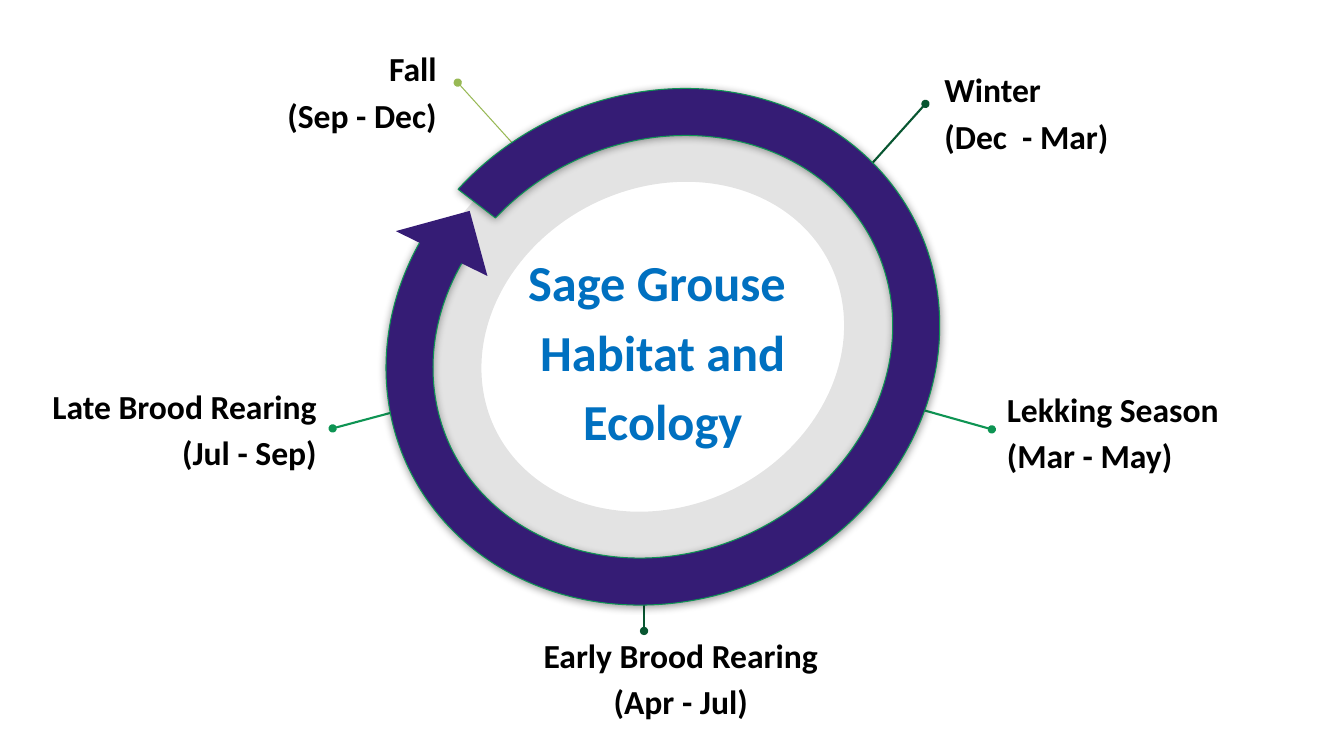
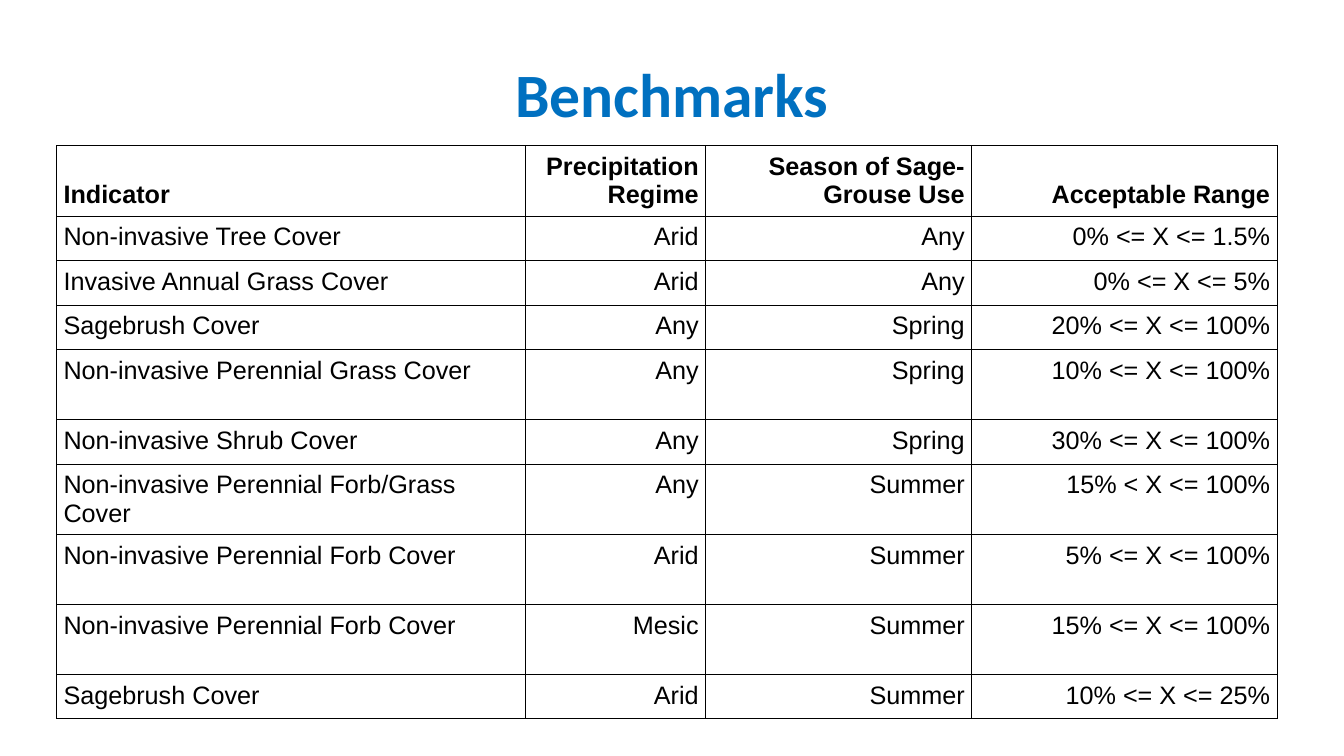
from lxml import etree
from pptx import Presentation
from pptx.dml.color import RGBColor
from pptx.enum import shapes as shp, text as txt
from pptx.oxml.ns import qn
from pptx.util import Pt

# Shared style
BLACK = RGBColor(0x00, 0x00, 0x00)
WHITE = RGBColor(0xFF, 0xFF, 0xFF)
BLUE = RGBColor(0x00, 0x70, 0xC0)
PURPLE = RGBColor(0x35, 0x1C, 0x75)
GREEN = RGBColor(0x0E, 0x94, 0x53)
DARK_GREEN = RGBColor(0x08, 0x56, 0x31)
LIGHT_GREEN = RGBColor(0x98, 0xB9, 0x55)
HEAD_FONT, BODY_FONT = "Calibri", "Arial"
LABEL_INSET, CELL_INSET = 9.2, 5
LEFT, CENTER, RIGHT = (txt.PP_ALIGN.LEFT, txt.PP_ALIGN.CENTER,
                       txt.PP_ALIGN.RIGHT)
TITLE_ONLY = 5

# Label lines, alignment, line colour and width, then offsets from the
# ring's centre: dot, ring end, label's top left corner; label width
SEASONS = [
    (("Winter", "(Dec  - Mar)"), LEFT, DARK_GREEN, 1.5,
     (187.6, -173.5), (145, -126), (191.9, -211.7), 234),
    (("Fall", "(Sep - Dec)"), RIGHT, LIGHT_GREEN, 0.75,
     (-146.5, -188.7), (-103.4, -141), (-386.3, -226.8), 234),
    (("Lekking Season", "(Mar - May)"), LEFT, GREEN, 1.5,
     (235, 59), (166, 39.6), (236.5, 16.5), 234),
    (("Late Brood Rearing", "(Jul - Sep)"), RIGHT, GREEN, 1.5,
     (-235.8, 58.3), (-166, 39.6), (-472, 14.4), 234),
    (("Early Brood Rearing", "(Apr - Jul)"), CENTER, DARK_GREEN, 1.5,
     (-13.4, 203), (-13.4, 175), (-119.2, 192.2), 264),
]

COL_WIDTHS = [334.8, 128.9, 190, 218.2]
SHORT_ROW, TALL_ROW = 31.8, 50
TALL_ROWS = {0, 4, 6, 7, 8}
BENCHMARKS = [
    ("Indicator", "Precipitation Regime", "Season of Sage-Grouse Use",
     "Acceptable Range"),
    ("Non-invasive Tree Cover", "Arid", "Any", "0% <= X <= 1.5%"),
    ("Invasive Annual Grass Cover", "Arid", "Any", "0% <= X <= 5%"),
    ("Sagebrush Cover", "Any", "Spring", "20% <= X <= 100%"),
    ("Non-invasive Perennial Grass Cover", "Any", "Spring",
     "10% <= X <= 100%"),
    ("Non-invasive Shrub Cover", "Any", "Spring", "30% <= X <= 100%"),
    ("Non-invasive Perennial Forb/Grass Cover", "Any", "Summer",
     "15% < X <= 100%"),
    ("Non-invasive Perennial Forb Cover", "Arid", "Summer",
     "5% <= X <= 100%"),
    ("Non-invasive Perennial Forb Cover", "Mesic", "Summer",
     "15% <= X <= 100%"),
    ("Sagebrush Cover", "Arid", "Summer", "10% <= X <= 25%"),
]


def pts(*values):
    return [Pt(v) for v in values]


def add_xml(parent, tag, **attrs):
    return etree.SubElement(parent, qn(tag), attrs)


def set_inset(obj, inset):
    obj.margin_left = obj.margin_right = Pt(inset)
    obj.margin_top = obj.margin_bottom = Pt(inset)


def write_lines(tf, lines, size, color, align, font=HEAD_FONT, bold=True,
                spacing=None):
    for i, line in enumerate(lines):
        p = tf.paragraphs[0] if i == 0 else tf.add_paragraph()
        p.text = line
        p.alignment = align
        p.line_spacing = spacing
        p.font.name, p.font.size, p.font.bold = font, Pt(size), bold
        p.font.color.rgb = color


def place_title(slide, box, lines, size, spacing=None):
    sp = slide.shapes.title
    sp.left, sp.top, sp.width, sp.height = pts(*box)
    tf = sp.text_frame
    tf.word_wrap = True
    tf.auto_size = txt.MSO_AUTO_SIZE.NONE
    tf.vertical_anchor = txt.MSO_ANCHOR.MIDDLE
    write_lines(tf, lines, size, BLUE, CENTER, spacing=spacing)
    return tf


def add_turned(slide, kind, center, size, angle, color, line=None):
    """Add a rotated preset shape around a centre."""
    (cx, cy), (w, h) = center, size
    sp = slide.shapes.add_shape(kind, *pts(cx - w / 2, cy - h / 2, w, h))
    sp.rotation = angle
    sp.fill.solid()
    sp.fill.fore_color.rgb = color
    if line is None:
        sp.line.fill.background()
    else:
        sp.line.color.rgb = line
        sp.line.width = Pt(0.75)
    sp.shadow.inherit = False
    return sp


def add_season(slide, center, lines, align, color, weight, dot, end, corner,
               width):
    """Add a callout: a line with a dot, and its label."""
    cx, cy = center
    group = slide.shapes.add_group_shape()
    line = group.shapes.add_connector(
        shp.MSO_CONNECTOR.STRAIGHT,
        *pts(cx + dot[0], cy + dot[1], cx + end[0], cy + end[1]))
    line.line.color.rgb = color
    line.line.width = Pt(weight)
    add_xml(line.line._get_or_add_ln(), "a:headEnd", type="oval")
    add_xml(line._element.spPr, "a:effectLst")

    label = group.shapes.add_textbox(
        *pts(cx + corner[0], cy + corner[1], width, 84.2))
    tf = label.text_frame
    tf.word_wrap = True
    set_inset(tf, LABEL_INSET)
    write_lines(tf, lines, 24, BLACK, align, spacing=1.15)


def season_ring(slide, x, y, w, h):
    center = cx, cy = x + w / 2, y + h / 2

    # Pale inner ring
    donut = add_turned(slide, shp.MSO_SHAPE.DONUT, center,
                       (w - 28, h - 26.6), 333.1, BLACK)
    donut.adjustments[0] = 0.161
    add_xml(donut._element.spPr.find(".//" + qn("a:srgbClr")), "a:alpha",
            val="11000")

    # Callouts and the title in the middle
    for season in SEASONS:
        add_season(slide, center, *season)
    tf = place_title(slide, (cx - 113, cy - 50.8, 226, 101.6),
                     ("Sage Grouse ", "Habitat and Ecology"), 36, 1.15)
    set_inset(tf, LABEL_INSET)

    # Circular arrow: band with a soft shadow, then its head
    band = add_turned(slide, shp.MSO_SHAPE.BLOCK_ARC, center, (w, h), 155.1,
                      PURPLE, GREEN)
    for i, value in enumerate((37.479, 30.073, 0.093)):
        band.adjustments[i] = value
    shadow = add_xml(band._element.spPr.find(qn("a:effectLst")),
                     "a:outerShdw", blurRad=str(Pt(5.6)), dist=str(Pt(0.8)),
                     dir="5400000", algn="ctr", rotWithShape="0")
    add_xml(add_xml(shadow, "a:srgbClr", val=str(BLACK)), "a:alpha",
            val="40000")
    add_turned(slide, shp.MSO_SHAPE.RIGHT_TRIANGLE, (cx - 158, cy - 66.6),
               (54.7, 48.2), 164.7, PURPLE)


def style_cell(cell, value, header, align):
    cell.vertical_anchor = (txt.MSO_ANCHOR.BOTTOM if header
                            else txt.MSO_ANCHOR.TOP)
    set_inset(cell, CELL_INSET)
    write_lines(cell.text_frame, [value], 18, BLACK, align, BODY_FONT, header)
    tc_pr = cell._tc.get_or_add_tcPr()
    for side in ("a:lnL", "a:lnR", "a:lnT", "a:lnB"):
        ln = add_xml(tc_pr, side, w=str(Pt(0.75)))
        add_xml(add_xml(ln, "a:solidFill"), "a:srgbClr", val=str(BLACK))
    cell.fill.solid()
    cell.fill.fore_color.rgb = WHITE


def benchmark_table(slide, x, y):
    heights = [TALL_ROW if i in TALL_ROWS else SHORT_ROW
               for i in range(len(BENCHMARKS))]
    table = slide.shapes.add_table(
        len(heights), len(COL_WIDTHS),
        *pts(x, y, sum(COL_WIDTHS), sum(heights))).table
    table.horz_banding = False
    for col, width in zip(table.columns, COL_WIDTHS):
        col.width = Pt(width)
    for i, (row, values) in enumerate(zip(table.rows, BENCHMARKS)):
        row.height = Pt(heights[i])
        for j, value in enumerate(values):
            style_cell(row.cells[j], value, i == 0, RIGHT if j else LEFT)


def main():
    prs = Presentation()
    prs.slide_width, prs.slide_height = pts(960, 540)
    cycle, benchmarks = (prs.slides.add_slide(prs.slide_layouts[TITLE_ONLY])
                         for _ in range(2))

    season_ring(cycle, 272.2, 67, 402.5, 361.4)

    place_title(benchmarks, (48, 21.6, 864, 90), ["Benchmarks"], 44)
    benchmark_table(benchmarks, 40.4, 104)

    prs.save("out.pptx")


if __name__ == "__main__":
    main()
